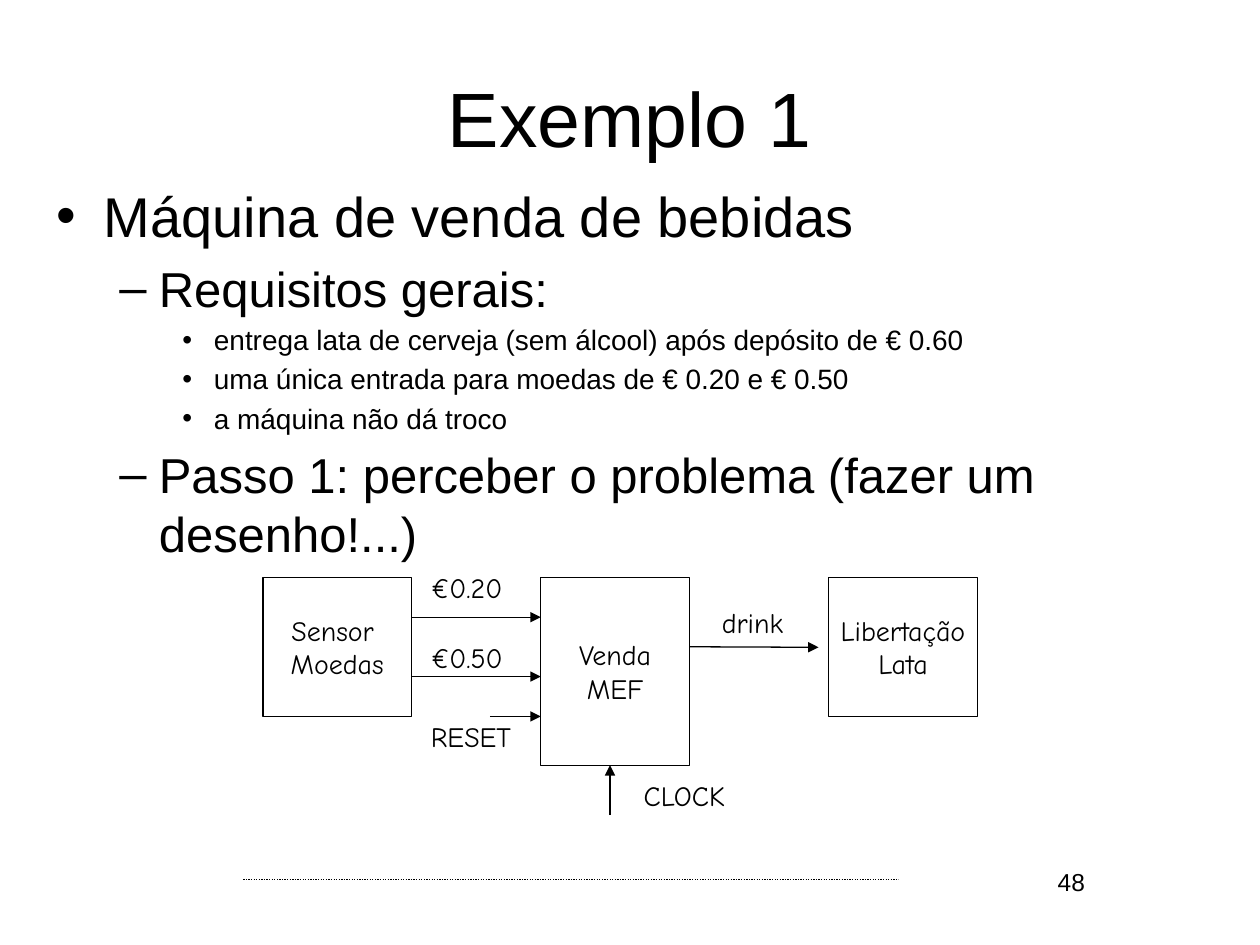
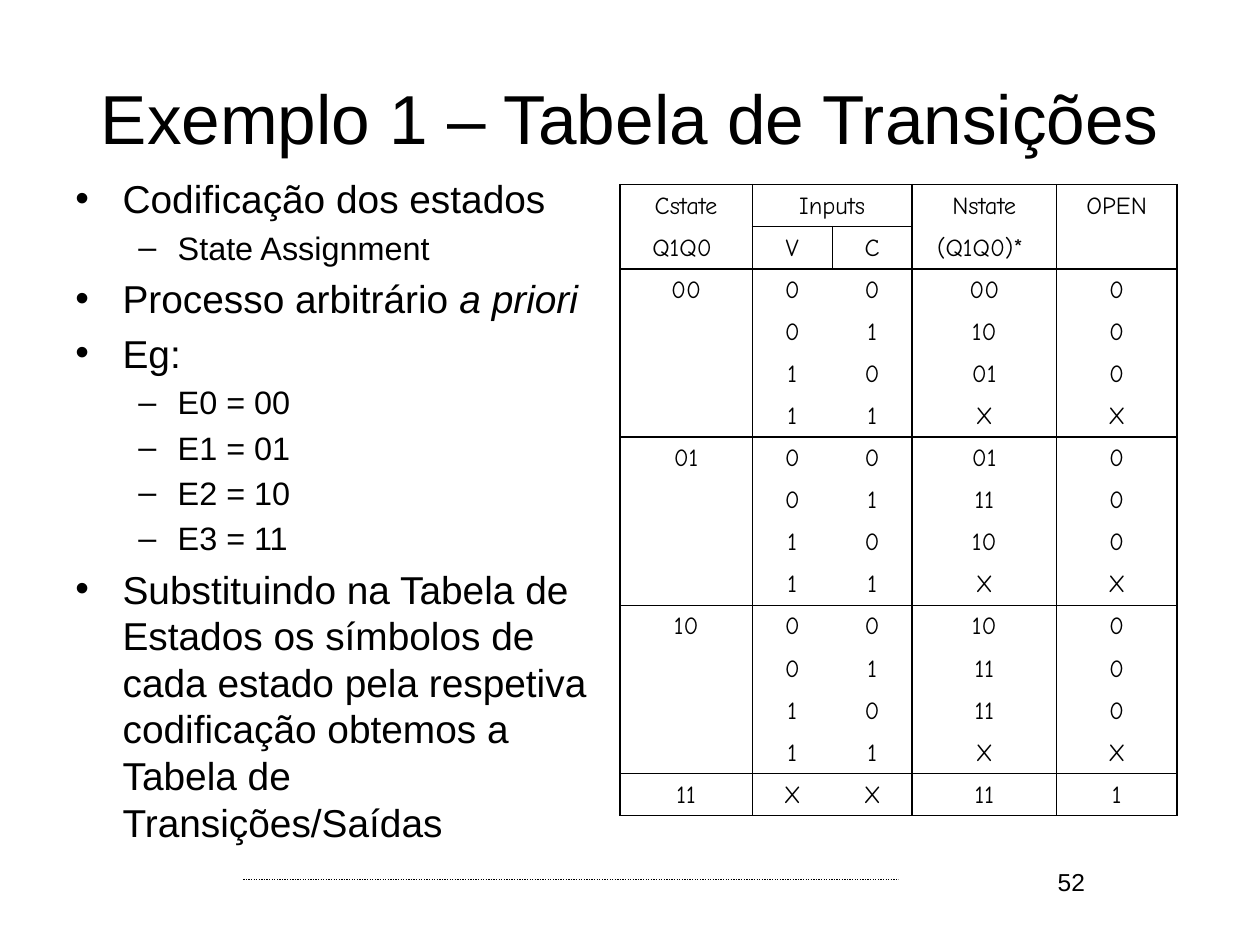
from lxml.etree import SubElement
from pptx import Presentation
from pptx.dml.color import RGBColor
from pptx.enum.dml import MSO_LINE
from pptx.enum.shapes import MSO_CONNECTOR, MSO_SHAPE
from pptx.enum.text import MSO_ANCHOR, PP_ALIGN
from pptx.oxml import parse_xml
from pptx.oxml.ns import nsdecls, qn
from pptx.util import Pt

COLORS = {"ink": "000000", "paper": "FFFFFF"}
BODY_FONT = "Arial"
SKETCH_FONT = "Comic Neue"
LEVELS = [(27, -27, "•"), (58.5, -22.5, "–"), (90, -18, "•")]


def ink():
    return RGBColor.from_string(COLORS["ink"])


def style_runs(paragraph, size, font):
    for run in paragraph.runs:
        run.font.size = Pt(size)
        run.font.name = font
        run.font.color.rgb = ink()


def write(frame, text, size, font, align=PP_ALIGN.LEFT, anchor=MSO_ANCHOR.TOP, wrap=True):
    frame.text = text
    frame.word_wrap = wrap
    frame.vertical_anchor = anchor
    for paragraph in frame.paragraphs:
        paragraph.alignment = align
        style_runs(paragraph, size, font)


def add_text_box(slide, left, top, width, height):
    return slide.shapes.add_textbox(Pt(left), Pt(top), Pt(width), Pt(height)).text_frame


def add_line(slide, start, end):
    line = slide.shapes.add_connector(
        MSO_CONNECTOR.STRAIGHT, *(Pt(value) for value in (*start, *end)))
    line.line.color.rgb = ink()
    line.line.width = Pt(0.75)
    SubElement(line._element.spPr, qn("a:effectLst"))
    return line


def add_signal(slide, start, end):
    signal = add_line(slide, start, end)
    SubElement(signal.line._get_or_add_ln(), qn("a:tailEnd"), type="triangle")


def add_block(slide, text, left, height):
    block = slide.shapes.add_shape(
        MSO_SHAPE.RECTANGLE, Pt(left), Pt(329.9), Pt(85), Pt(height))
    block.shadow.inherit = False
    block.fill.background()
    block.line.color.rgb = ink()
    block.line.width = Pt(0.75)
    write(block.text_frame, text, 16, SKETCH_FONT, PP_ALIGN.CENTER, MSO_ANCHOR.MIDDLE, False)


def add_signal_label(slide, text, left, top, width):
    label = add_text_box(slide, left, top, width, 20.2)
    write(label, text, 16, SKETCH_FONT, wrap=False)
    label.margin_left = label.margin_right = Pt(5)
    label.margin_top = label.margin_bottom = Pt(2.2)
    label.paragraphs[0].line_spacing = 0.85


def add_outline(slide, items, sizes, left, top, width):
    outline = add_text_box(slide, left, top, width, 356.4)
    outline.word_wrap = True
    for index, (level, text, *emphasis) in enumerate(items):
        paragraph = outline.paragraphs[0] if index == 0 else outline.add_paragraph()
        paragraph.text = text
        for phrase in emphasis:
            run = paragraph.add_run()
            run.text = phrase
            run.font.italic = True
        style_runs(paragraph, sizes[level], BODY_FONT)
        margin, indent, bullet = LEVELS[level]
        properties = paragraph._p.get_or_add_pPr()
        properties.set("marL", str(Pt(margin)))
        properties.set("indent", str(Pt(indent)))
        spacing = SubElement(properties, qn("a:spcBef"))
        SubElement(spacing, qn("a:spcPct"), val="20000")
        SubElement(properties, qn("a:buFont"), typeface=BODY_FONT)
        SubElement(properties, qn("a:buChar"), char=bullet)


def set_borders(cell, edges):
    properties = cell._tc.get_or_add_tcPr()
    for index, (side, drawn) in enumerate(edges):
        paint = (f'<a:solidFill><a:srgbClr val="{COLORS["ink"]}"/></a:solidFill>'
                 if drawn else "<a:noFill/>")
        properties.insert(index, parse_xml(
            f'<a:ln{side} {nsdecls("a")} w="{Pt(1)}">{paint}</a:ln{side}>'))


def add_transition_table(slide, rows, widths, row_height):
    table = slide.shapes.add_table(
        len(rows), len(widths), Pt(354.3), Pt(105.5),
        Pt(sum(widths)), Pt(row_height * len(rows))).table
    table.first_row = table.horz_banding = False
    for column, width in zip(table.columns, widths):
        column.width = Pt(width)
    for row in table.rows:
        row.height = Pt(row_height)
    state_breaks = {0, 2, 6, 10, 14, 15}

    def rule_below(edge, column):
        return edge in state_breaks or (edge == 1 and column in (1, 2))

    def rule_beside(edge, row):
        return edge != 2 or row == 1

    for r, values in enumerate(rows):
        for c, value in enumerate(values):
            cell = table.cell(r, c)
            cell.fill.background()
            write(cell.text_frame, value, 14, SKETCH_FONT, PP_ALIGN.CENTER)
            cell.vertical_anchor = MSO_ANCHOR.BOTTOM
            if not value:
                SubElement(cell.text_frame.paragraphs[0]._p, qn("a:endParaRPr"), sz="1400")
            set_borders(cell, [("L", rule_beside(c, r)), ("R", rule_beside(c + 1, r)),
                               ("T", rule_below(r, c)), ("B", rule_below(r + 1, c))])
    table.cell(0, 1).merge(table.cell(0, 2))


def start_slide(deck, title, title_size, number):
    slide = deck.slides.add_slide(deck.slide_layouts[6])
    slide.background.fill.solid()
    slide.background.fill.fore_color.rgb = RGBColor.from_string(COLORS["paper"])
    footer_rule = add_line(slide, (139, 502.6), (513.4, 502.6))
    footer_rule.line.dash_style = MSO_LINE.ROUND_DOT
    write(add_text_box(slide, 36, 21.6, 648, 90), title, title_size, BODY_FONT,
          PP_ALIGN.CENTER, MSO_ANCHOR.MIDDLE)
    write(add_text_box(slide, 541.4, 491.8, 85.7, 37.4), str(number), 14, BODY_FONT,
          PP_ALIGN.RIGHT)
    return slide


def build_vending_machine(deck):
    slide = start_slide(deck, "Exemplo 1", 44, 48)
    requirements = [
        (0, "Máquina de venda de bebidas"),
        (1, "Requisitos gerais:"),
        (2, "entrega lata de cerveja (sem álcool) após depósito de € 0.60"),
        (2, "uma única entrada para moedas de € 0.20 e € 0.50"),
        (2, "a máquina não dá troco"),
        (1, "Passo 1: perceber o problema (fazer um desenho!...)"),
    ]
    add_outline(slide, requirements, (32, 28, 16), 25.2, 100, 674.6)
    for text, left, height in [("Sensor \nMoedas", 150.2, 79.4),
                               ("Venda\nMEF", 309, 107.5),
                               ("Libertação\nLata", 473.5, 79.4)]:
        add_block(slide, text, left, height)
    for start, end in [((235.3, 352.7), (309, 352.7)), ((235.3, 386.6), (309, 386.6)),
                       ((394, 369.6), (467.8, 369.9)), ((280, 409.4), (309, 409.4)),
                       ((348.6, 465.8), (348.6, 437.3))]:
        add_signal(slide, start, end)
    for text, left, top, width in [("€0.20", 241.2, 326.9, 53.3),
                                   ("€0.50", 241.2, 366.5, 53.3),
                                   ("drink", 407.5, 347, 49),
                                   ("RESET", 241.2, 411.8, 62),
                                   ("CLOCK", 362.9, 445.7, 60.5)]:
        add_signal_label(slide, text, left, top, width)


def build_transitions(deck):
    slide = start_slide(deck, "Exemplo 1 – Tabela de Transições", 39.6, 52)
    encoding = [
        (0, "Codificação dos estados"),
        (1, "State Assignment"),
        (0, "Processo arbitrário ", "a priori"),
        (0, "Eg:"),
        *[(1, f"E{state} = {state:02b}") for state in range(4)],
        (0, "Substituindo na Tabela de Estados os símbolos de cada estado pela "
            "respetiva codificação obtemos a Tabela de Transições/Saídas"),
    ]
    add_outline(slide, encoding, (22.2, 18.5), 36, 96.5, 324)
    rows = [["Cstate", "Inputs", "", "Nstate", "OPEN"],
            ["Q1Q0 ", "V", "C", "(Q1Q0)* ", ""]]
    next_states = {"00": ("00", "10", "01", "X"),
                   "01": ("01", "11", "10", "X"),
                   "10": ("10", "11", "11", "X")}
    for state, targets in next_states.items():
        for step, target in enumerate(targets):
            rows.append(["" if step else state, *f"{step:02b}", target,
                         "X" if target == "X" else "0"])
    rows.append(["11", "X", "X", "11", "1"])
    add_transition_table(slide, rows, (75.6, 45.7, 45.7, 82.4, 69), 23.35)


def main():
    deck = Presentation()
    deck.slide_width, deck.slide_height = Pt(720), Pt(540)
    build_vending_machine(deck)
    build_transitions(deck)
    deck.save("out.pptx")


if __name__ == "__main__":
    main()
